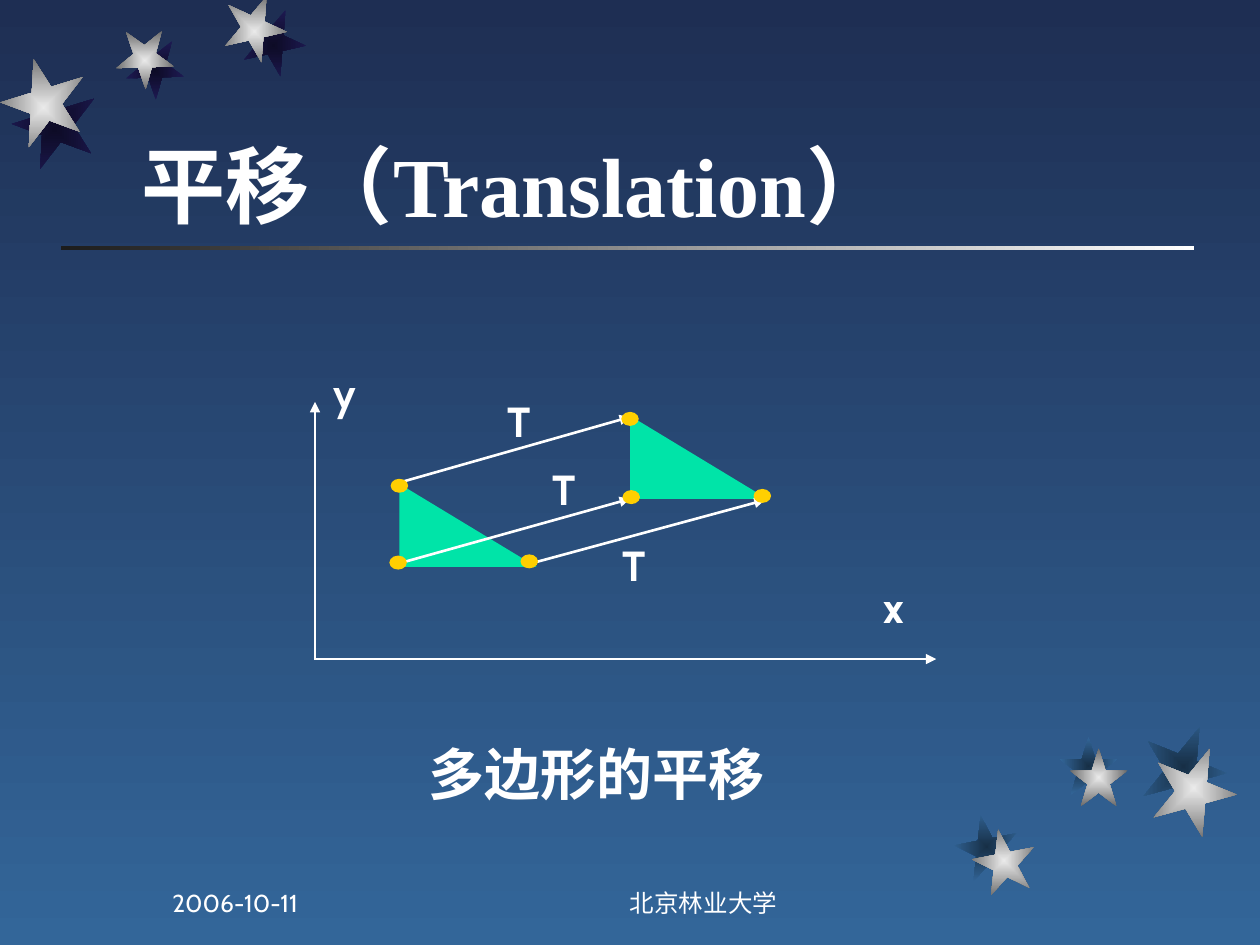
"""Build the polygon translation slide."""
from dataclasses import dataclass

import pptx
import pptx.dml.color
import pptx.enum.shapes
import pptx.enum.text
import pptx.oxml
import pptx.oxml.ns
import pptx.util

Pt = pptx.util.Pt
qn = pptx.oxml.ns.qn
MSO = pptx.enum.shapes.MSO_SHAPE
ANCHOR = pptx.enum.text.MSO_ANCHOR
ALIGN = pptx.enum.text.PP_ALIGN
NS = pptx.oxml.ns.nsdecls("a")
WHITE, GREEN, GOLD = "FFFFFF", "00E4A8", "FFCF01"
SILVER, NIGHT, DUSK = ("EAEAEA", "6B6B6B"), ("0D0B26", "1E1A53"), ("172F46", "336699")


@dataclass
class Star:
    x: float
    y: float
    size: float
    rot: float
    dx: float
    dy: float
    shade: tuple[str, str]


@dataclass
class Arrow:
    x1: float
    y1: float
    x2: float
    y2: float


@dataclass
class Label:
    text: str
    x: float
    y: float
    w: float
    h: float = 36
    size: float = 24
    bold: bool = True
    wrap: bool = True
    anchor: ANCHOR = ANCHOR.TOP
    align: ALIGN = ALIGN.LEFT


STARS = [
    Star(127.4, 0, 36, 167.3, 10.8, 7.9, NIGHT),
    Star(66.2, 18, 33.1, 178.3, 5.8, 5.8, NIGHT),
    Star(0.7, 37.4, 48.2, 200.3, 6.5, 12.3, NIGHT),
    Star(555.8, 473.8, 36, 349, -10, -8, DUSK),
    Star(611.3, 427.7, 33.1, 0, -5.8, -6.5, DUSK),
    Star(658.1, 426.2, 48.2, 22, -5.8, -12.2, DUSK),
]
TRIANGLES = [(228.2, 276.5), (360, 237.6)]
ARROWS = [
    Arrow(180, 376.6, 180, 229.7),
    Arrow(179.3, 376.6, 535, 376.6),
    Arrow(228.2, 275.8, 360, 238.3),
    Arrow(306.7, 321.1, 437, 285.8),
    Arrow(231.1, 321.1, 360, 285.1),
]
DOTS = [(223.2, 273.6), (222.5, 317.5), (297.4, 316.8),
        (355, 235.4), (355.7, 280.1), (430.6, 279.4)]
LABELS = [
    Label("T", 283, 222.5, 31.7),
    Label("T", 308.9, 261.4, 31.7),
    Label("T", 348.5, 304.6, 31.7),
    Label("x", 497.5, 329, 28.1, wrap=False),
    Label("y", 183.6, 206.6, 28.1, wrap=False),
    Label("多边形的平移", 237.6, 419, 219.6, h=46.1, size=32),
    Label("北京林业大学", 288, 491.8, 228.2, size=14, bold=False,
          anchor=ANCHOR.BOTTOM, align=ALIGN.CENTER),
    Label("2006-10-11", 91.4, 491.8, 149.8, size=14, bold=False, anchor=ANCHOR.BOTTOM),
]


def rgb(value: str) -> pptx.dml.color.RGBColor:
    return pptx.dml.color.RGBColor.from_string(value)


def gradient(fill, colours: tuple[str, str], angle: float = 0) -> None:
    fill.gradient()
    fill.gradient_angle = angle
    for stop, colour in zip(fill.gradient_stops, colours):
        stop.color.rgb = rgb(colour)


def add_shape(s, kind: MSO, x: float, y: float, w: float, h: float, colour: str = WHITE):
    sp = s.shapes.add_shape(kind, Pt(x), Pt(y), Pt(w), Pt(h))
    sp.shadow.inherit = False
    sp.line.fill.background()
    sp.fill.solid()
    sp.fill.fore_color.rgb = rgb(colour)
    return sp


def add_star(s, x: float, y: float, size: float, rot: float, colours: tuple[str, str]) -> None:
    sp = add_shape(s, MSO.STAR_5_POINT, x, y, size, size)
    sp.rotation = rot
    gradient(sp.fill, colours)
    grad = sp._element.spPr.find(qn("a:gradFill"))
    grad.replace(grad.find(qn("a:lin")), pptx.oxml.parse_xml(
        f'<a:path {NS} path="rect"><a:fillToRect l="50000" t="50000" r="50000" b="50000"/></a:path>'))


def add_arrow(s, a: Arrow) -> None:
    kind = pptx.enum.shapes.MSO_CONNECTOR.STRAIGHT
    sp = s.shapes.add_connector(kind, Pt(a.x1), Pt(a.y1), Pt(a.x2), Pt(a.y2))
    sp.line.width = Pt(1.5)
    sp.line.color.rgb = rgb(WHITE)
    sp.line._get_or_add_ln().append(pptx.oxml.parse_xml(f'<a:tailEnd {NS} type="triangle"/>'))
    sp._element.spPr.append(pptx.oxml.parse_xml(f"<a:effectLst {NS}/>"))


def add_run(p, text: str, *, size: float, bold: bool = True, font: str = "Cabin") -> None:
    r = p.add_run()
    r.text = text
    r.font.name = font
    r.font.size = Pt(size)
    r.font.bold = bold
    r.font.color.rgb = rgb(WHITE)


def add_label(s, label: Label) -> None:
    sp = s.shapes.add_textbox(Pt(label.x), Pt(label.y), Pt(label.w), Pt(label.h))
    tf = sp.text_frame
    tf.word_wrap = label.wrap
    tf.vertical_anchor = label.anchor
    p = tf.paragraphs[0]
    p.alignment = label.align
    add_run(p, label.text, size=label.size, bold=label.bold)


def set_title(s) -> None:
    sp = s.shapes.title
    sp.left, sp.top, sp.width, sp.height = Pt(73.4), Pt(22.3), Pt(613.4), Pt(115.2)
    tf = sp.text_frame
    tf.auto_size = pptx.enum.text.MSO_AUTO_SIZE.NONE
    tf.vertical_anchor = ANCHOR.BOTTOM
    p = tf.paragraphs[0]
    p.alignment = ALIGN.LEFT
    add_run(p, "平移（", size=48)
    add_run(p, "Translation", size=48, font="Times New Roman")
    add_run(p, "）", size=48)


def main() -> None:
    prs = pptx.Presentation()
    prs.slide_width, prs.slide_height = Pt(720), Pt(540)
    s = prs.slides.add_slide(prs.slide_layouts[5])
    gradient(s.background.fill, ("1E2E53", "336699"), 270)
    set_title(s)
    gradient(add_shape(s, MSO.RECTANGLE, 34.6, 140.4, 648, 2.4).fill, (WHITE, "1C1C1C"), 180)
    for star in STARS:
        add_star(s, star.x + star.dx, star.y + star.dy, star.size, star.rot, star.shade)
    for star in STARS:
        add_star(s, star.x, star.y, star.size, star.rot, SILVER)
    for x, y in TRIANGLES:
        add_shape(s, MSO.RIGHT_TRIANGLE, x, y, 78.5, 47.5, GREEN)
    for arrow in ARROWS:
        add_arrow(s, arrow)
    for x, y in DOTS:
        add_shape(s, MSO.OVAL, x, y, 10, 8, GOLD)
    for label in LABELS:
        add_label(s, label)
    prs.save("out.pptx")


if __name__ == "__main__":
    main()
